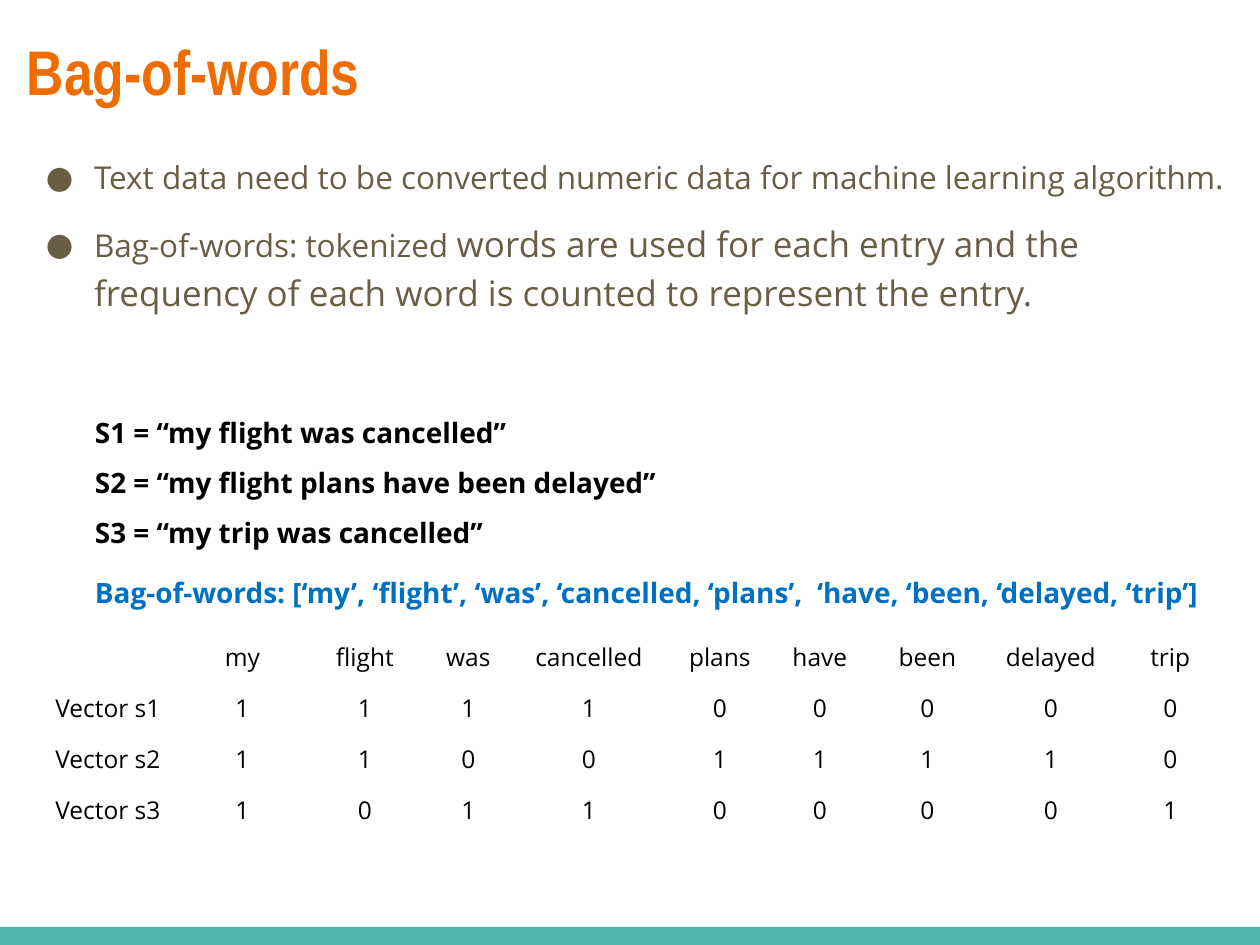
from dataclasses import dataclass

from lxml.etree import SubElement
from pptx import Presentation
from pptx.dml.color import RGBColor as RGB
from pptx.enum.shapes import MSO_SHAPE as SHAPE
from pptx.enum.text import MSO_ANCHOR as ANCHOR, PP_ALIGN as ALIGN
from pptx.oxml.ns import qn
from pptx.util import Emu, Pt


@dataclass(frozen=True)
class Theme:
    head_font: str = "Arial Narrow"
    body_font: str = "Open Sans"
    accent: RGB = RGB(0xEF, 0x6C, 0x00)
    body: RGB = RGB(0x69, 0x5D, 0x46)
    ink: RGB = RGB(0, 0, 0)
    blue: RGB = RGB(0x00, 0x70, 0xC0)
    teal: RGB = RGB(0x4D, 0xB6, 0xAC)
    title: int = 36
    large: int = 20
    bullet: int = 18
    example: int = 16
    cell: int = 14


T = Theme()

BULLETS = [
    [("Text data need to be converted numeric data for machine learning algorithm.", T.bullet)],
    [("Bag-of-words: tokenized ", T.bullet),
     ("words are used for each entry and the frequency of each word "
      "is counted to represent the entry.", T.large)],
]
SENTENCES = [
    "S1 = “my flight was cancelled”",
    "S2 = “my flight plans have been delayed”",
    "S3 = “my trip was cancelled”",
]
VOCABULARY = ["Bag-of-words: [‘my’, ‘flight’, ‘was’, ‘cancelled, ‘plans’,  "
              "‘have, ‘been, ‘delayed, ‘trip’]"]
WORDS = ["my", "flight", "was", "cancelled", "plans", "have", "been", "delayed", "trip"]
VECTORS = {"Vector s1": "111100000", "Vector s2": "110011110", "Vector s3": "101100001"}
COLUMNS = [148, 121, 124, 83, 158, 104, 96, 119, 128, 111]


def px(n):
    return Emu(round(n * 914400 / 126))


def apply(obj, **values):
    for name, value in values.items():
        setattr(obj, name, value)


def add_run(p, text, size, color, font=T.body_font, bold=False):
    r = p.add_run()
    r.text = text
    apply(r.font, name=font, size=Pt(size), bold=bold)
    r.font.color.rgb = color


def add_box(s, box, inset_y):
    tf = s.shapes.add_textbox(*map(px, box)).text_frame
    apply(tf, word_wrap=True, vertical_anchor=ANCHOR.TOP,
          margin_left=px(13), margin_right=px(13),
          margin_top=px(inset_y), margin_bottom=px(inset_y))
    return tf


def paragraphs(tf, items):
    for i, item in enumerate(items):
        yield (tf.add_paragraph() if i else tf.paragraphs[0]), item


def add_footer(s, box):
    sp = s.shapes.add_shape(SHAPE.RECTANGLE, *map(px, box))
    sp.shadow.inherit = False
    sp.fill.solid()
    sp.fill.fore_color.rgb = T.teal
    sp.line.fill.background()


def add_title(s, box):
    tf = add_box(s, box, 13)
    add_run(tf.paragraphs[0], "Bag-of-words", T.title, T.accent, T.head_font, True)


def add_bullets(s, box):
    tf = add_box(s, box, 12)
    for p, parts in paragraphs(tf, BULLETS):
        apply(p, line_spacing=1.15, space_before=Pt(12))
        pPr = p._p.get_or_add_pPr()
        pPr.set("marL", str(px(63)))
        pPr.set("indent", str(-px(48)))
        SubElement(SubElement(pPr, qn("a:buClr")), qn("a:srgbClr"), val=str(T.body))
        SubElement(pPr, qn("a:buFont"), typeface=T.body_font)
        SubElement(pPr, qn("a:buChar"), char="●")
        for text, size in parts:
            add_run(p, text, size, T.body)


def add_examples(s, box, lines, color):
    tf = add_box(s, box, 6)
    for p, line in paragraphs(tf, lines):
        apply(p, line_spacing=1.07, space_after=Pt(8))
        add_run(p, line, T.example, color, bold=True)


def add_vectors(s, box):
    rows = [["", *WORDS]] + [[name, *counts] for name, counts in VECTORS.items()]
    table = s.shapes.add_table(len(rows), len(COLUMNS), *map(px, box)).table
    apply(table, first_row=False, horz_banding=False)
    for column, width in zip(table.columns, COLUMNS):
        column.width = px(width)
    for i, row in enumerate(rows):
        for j, text in enumerate(row):
            cell = table.cell(i, j)
            cell.fill.background()
            p = cell.text_frame.paragraphs[0]
            p.alignment = ALIGN.CENTER
            if text:
                add_run(p, text, T.cell, T.ink)


def build_slide(prs):
    s = prs.slides.add_slide(prs.slide_layouts[6])
    add_footer(s, (0, 927, 1260, 18))
    add_title(s, (14, 20, 1174, 130))
    add_examples(s, (82, 407, 818, 149), SENTENCES, T.ink)
    add_examples(s, (82, 567, 1326, 48), VOCABULARY, T.blue)
    add_vectors(s, (34, 634, sum(COLUMNS), 204))
    add_bullets(s, (18, 140, 1242, 209))


def main():
    prs = Presentation()
    apply(prs, slide_width=px(1260), slide_height=px(945))
    build_slide(prs)
    prs.save("out.pptx")


if __name__ == "__main__":
    main()
